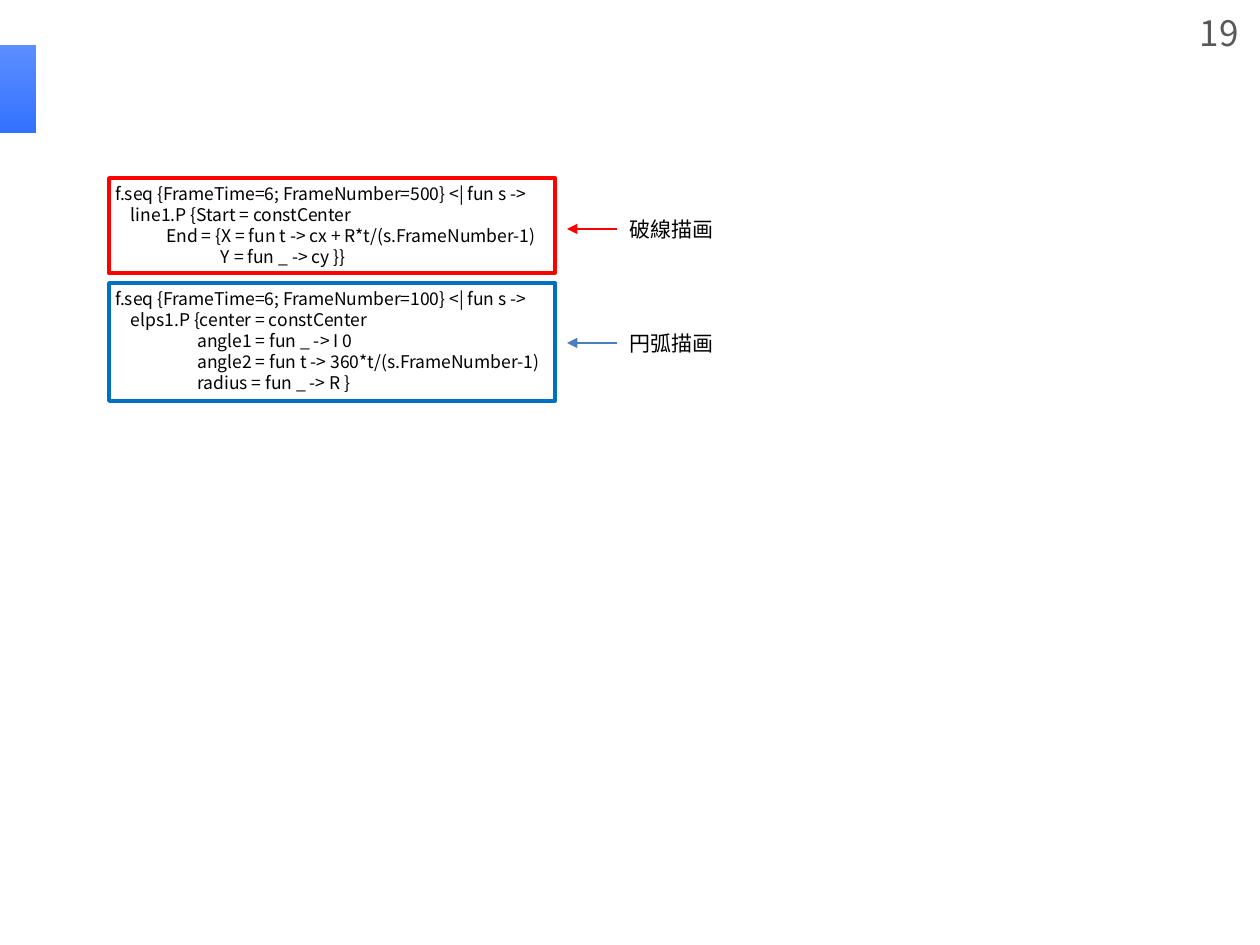
from dataclasses import dataclass

import pptx
import pptx.dml.color
import pptx.enum.dml
import pptx.enum.shapes
import pptx.enum.text
import pptx.oxml.ns
import pptx.util
from lxml import etree

RGBColor = pptx.dml.color.RGBColor
PP_ALIGN = pptx.enum.text.PP_ALIGN
RECTANGLE = pptx.enum.shapes.MSO_SHAPE.RECTANGLE

EMU_PER_PX = 914400 / 126
FONT = "Noto Sans CJK JP"
BLACK = RGBColor(0x00, 0x00, 0x00)
GRAY = RGBColor(0x59, 0x59, 0x59)
RED = RGBColor(0xFF, 0x00, 0x00)
BLUE = RGBColor(0x00, 0x70, 0xC0)
STEEL = RGBColor(0x4B, 0x7E, 0xBC)
ACCENT_DARK = RGBColor(0x33, 0x71, 0xFF)
ACCENT_LIGHT = RGBColor(0x5B, 0x8E, 0xFF)


@dataclass(frozen=True)
class Box:
    left: int
    top: int
    width: int
    height: int


@dataclass(frozen=True)
class Step:
    code: tuple[str, ...]
    frame: Box
    frame_color: RGBColor
    arrow_y: int
    arrow_color: RGBColor
    label: str


STEPS = (
    Step(
        (
            "f.seq {FrameTime=6; FrameNumber=500} <| fun s ->",
            "    line1.P {Start = constCenter",
            "             End = {X = fun t -> cx + R*t/(s.FrameNumber-1)",
            "                           Y = fun _ -> cy }}",
        ),
        Box(109, 178, 446, 95), RED, 229, RED, "破線描画",
    ),
    Step(
        (
            "f.seq {FrameTime=6; FrameNumber=100} <| fun s ->",
            "    elps1.P {center = constCenter",
            "                     angle1 = fun _ -> I 0",
            "                     angle2 = fun t -> 360*t/(s.FrameNumber-1)",
            "                     radius = fun _ -> R }",
        ),
        Box(109, 283, 446, 118), BLUE, 343, STEEL, "円弧描画",
    ),
)
ARROW_LEFT, ARROW_RIGHT = 567, 617


def px(length: int) -> pptx.util.Emu:
    return pptx.util.Emu(round(length * EMU_PER_PX))


def place(box: Box) -> tuple[pptx.util.Emu, ...]:
    return px(box.left), px(box.top), px(box.width), px(box.height)


def add_text(slide, box: Box, text: str, size: int, color: RGBColor = BLACK,
             align: PP_ALIGN = PP_ALIGN.LEFT):
    frame = slide.shapes.add_textbox(*place(box)).text_frame
    frame.word_wrap = True
    frame.text = text
    for paragraph in frame.paragraphs:
        paragraph.alignment = align
        paragraph.line_spacing = pptx.util.Pt(size * 1.2)
        for run in paragraph.runs:
            run.font.size = pptx.util.Pt(size)
            run.font.name = FONT
            run.font.color.rgb = color
            east_asian = etree.SubElement(run.font._element, pptx.oxml.ns.qn("a:ea"))
            east_asian.set("typeface", FONT)
    return frame


def add_accent(slide, box: Box) -> None:
    accent = slide.shapes.add_shape(RECTANGLE, *place(box))
    accent.shadow.inherit = False
    accent.line.fill.background()
    accent.fill.gradient()
    accent.fill.gradient_angle = 90
    for stop, color in zip(accent.fill.gradient_stops, (ACCENT_DARK, ACCENT_LIGHT)):
        stop.color.rgb = color


def add_code(slide, box: Box, steps: tuple[Step, ...]) -> None:
    lines = [line for step in steps for line in step.code]
    frame = add_text(slide, box, "\n".join(lines), 10)
    frame.paragraphs[len(steps[0].code)].space_before = pptx.util.Pt(12)


def add_frame(slide, step: Step) -> None:
    outline = slide.shapes.add_shape(RECTANGLE, *place(step.frame))
    outline.shadow.inherit = False
    outline.fill.background()
    outline.line.color.rgb = step.frame_color
    outline.line.width = pptx.util.Pt(2)


def add_arrow(slide, step: Step) -> None:
    arrow = slide.shapes.add_connector(
        pptx.enum.shapes.MSO_CONNECTOR.STRAIGHT,
        px(ARROW_RIGHT), px(step.arrow_y), px(ARROW_LEFT), px(step.arrow_y),
    )
    arrow.line.color.rgb = step.arrow_color
    arrow.line.width = pptx.util.Pt(1.5)
    qn = pptx.oxml.ns.qn
    etree.SubElement(arrow.line._get_or_add_ln(), qn("a:tailEnd")).set("type", "triangle")
    etree.SubElement(arrow._element.spPr, qn("a:effectLst"))


def main() -> None:
    presentation = pptx.Presentation()
    presentation.slide_width = px(1260)
    presentation.slide_height = px(945)
    slide = presentation.slides.add_slide(presentation.slide_layouts[6])

    add_accent(slide, Box(0, 45, 36, 88))
    page_number = add_text(slide, Box(958, 8, 293, 50), "19", 20, GRAY, PP_ALIGN.RIGHT)
    page_number.vertical_anchor = pptx.enum.text.MSO_ANCHOR.MIDDLE
    add_code(slide, Box(103, 177, 460, 224), STEPS)
    for step in STEPS:
        add_frame(slide, step)
        add_arrow(slide, step)
        add_text(slide, Box(ARROW_RIGHT, step.arrow_y - 19, 112, 38), step.label, 12)

    presentation.save("out.pptx")


if __name__ == "__main__":
    main()
